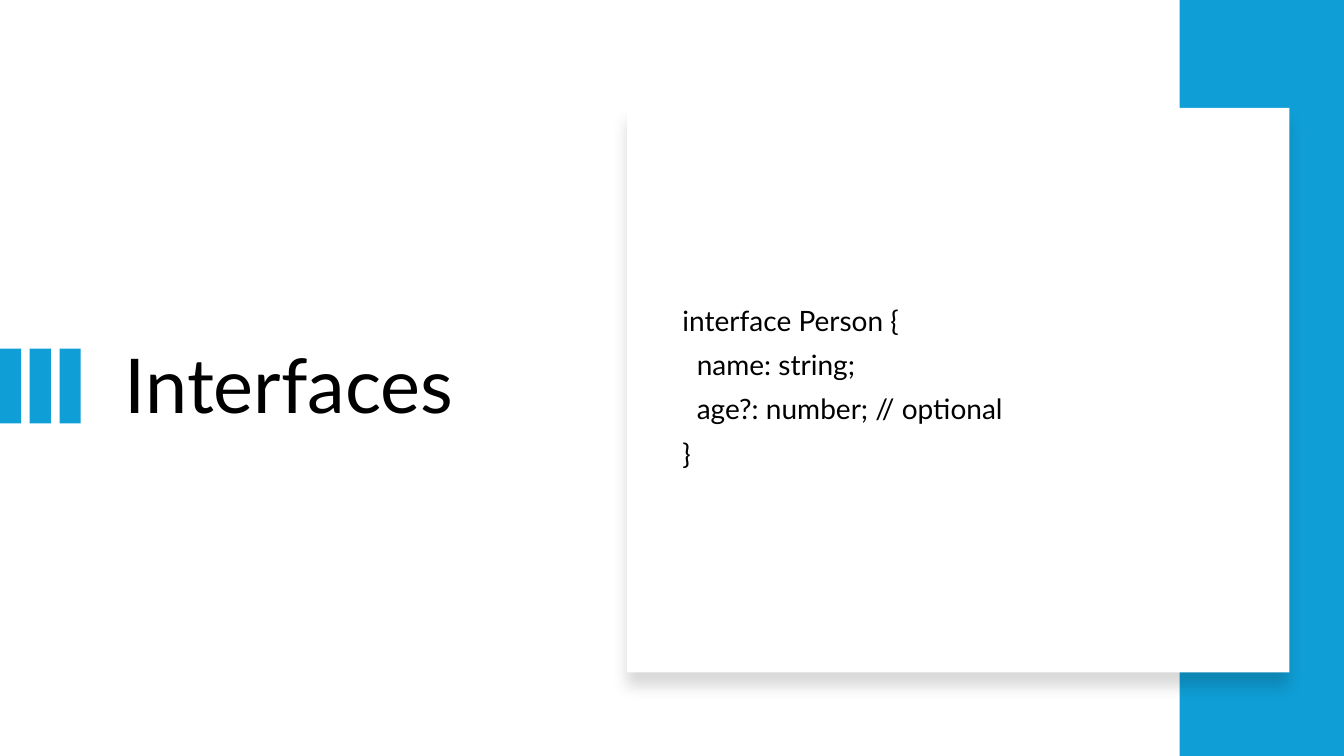
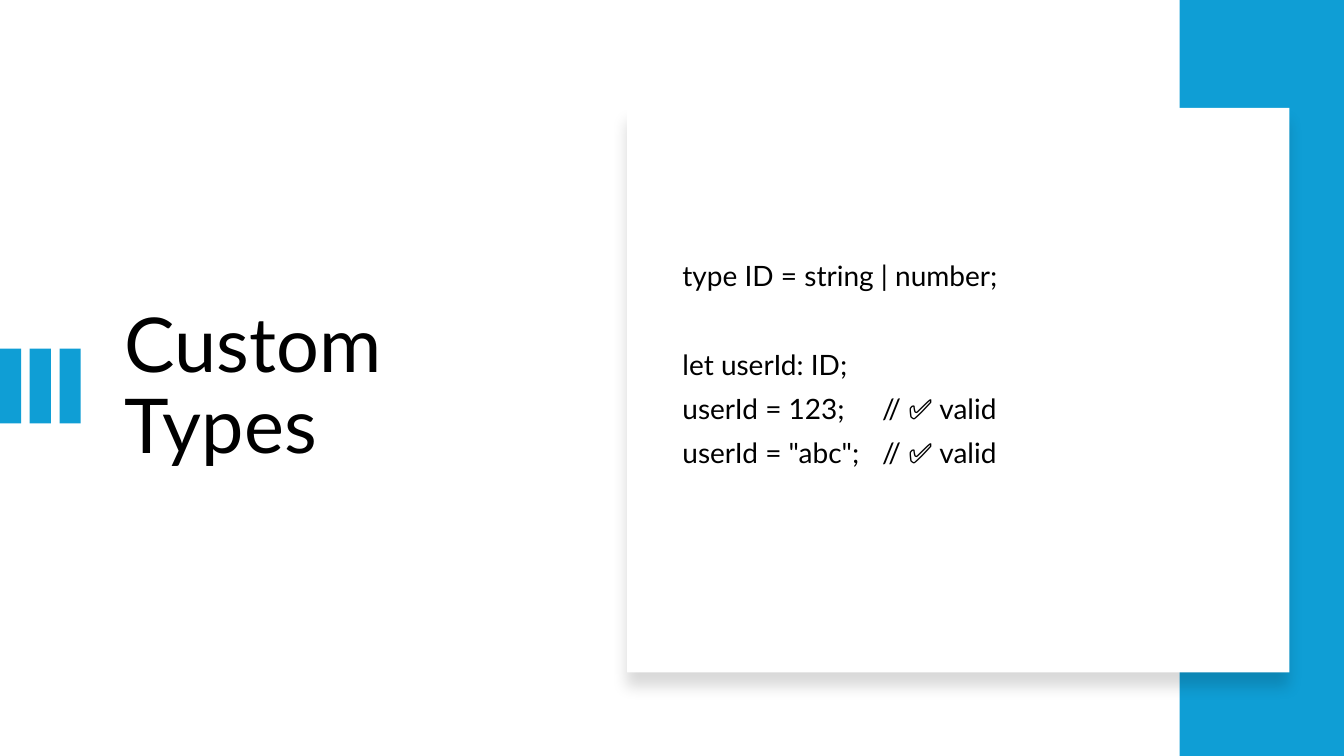
from dataclasses import dataclass

import pptx
import pptx.dml.color
import pptx.enum.shapes
import pptx.enum.text
import pptx.oxml.ns
import pptx.util
from lxml import etree

Inches = pptx.util.Inches
Pt = pptx.util.Pt
RGB = pptx.dml.color.RGBColor
qn = pptx.oxml.ns.qn


@dataclass(frozen=True)
class Theme:
    blue: RGB = RGB(0x0F, 0x9E, 0xD5)
    white: RGB = RGB(0xFF, 0xFF, 0xFF)
    ink: RGB = RGB(0, 0, 0)
    font: str = "Lato"
    title: int = 54
    code: int = 20
    lead: float = 0.9
    gap: int = 10
    blank: float = 31.7  # height of one empty code line, with its gap


THEME = Theme()
WIDTH, HEIGHT = 13.33, 7.5
TEXT_TOP, TEXT_HIGH = 1.46, 4.79
INSET = 0.05
NOTE_TAB = 1.98

# An empty line in the code stands for a gap.
SLIDES = [
    ("Interfaces", [
        "interface Person {",
        "  name: string;",
        "  age?: number; // optional",
        "}",
    ]),
    ("Custom Types", [
        "type ID = string | number;",
        "",
        "let userId: ID;",
        "userId = 123;\t// ✅ valid",
        "userId = \"abc\";\t// ✅ valid",
        "",
    ]),
]


def add_rect(shapes, left, top, width, height, color):
    rect = shapes.add_shape(
        pptx.enum.shapes.MSO_SHAPE.RECTANGLE,
        Inches(left), Inches(top), Inches(width), Inches(height))
    rect.fill.solid()
    rect.fill.fore_color.rgb = color
    rect.line.fill.background()
    rect.shadow.inherit = False
    return rect


def add_shadow(shape):
    """Give the shape a soft shadow that falls straight down."""
    effects = shape._element.spPr.find(qn("a:effectLst"))
    outer = etree.SubElement(
        effects, qn("a:outerShdw"), blurRad=str(Pt(11)), dist=str(Pt(10)),
        dir=str(90 * 60000), algn="t", rotWithShape="0")
    color = etree.SubElement(outer, qn("a:srgbClr"), val=str(THEME.ink))
    etree.SubElement(color, qn("a:alpha"), val="15000")


def add_box(slide, left, width):
    """Add an empty text box, centred in height, and return its frame."""
    box = slide.shapes.add_textbox(
        Inches(left), Inches(TEXT_TOP), Inches(width), Inches(TEXT_HIGH))
    frame = box.text_frame
    frame.word_wrap = True
    frame.vertical_anchor = pptx.enum.text.MSO_ANCHOR.MIDDLE
    return frame


def set_text(para, text, size):
    para.text = text
    para.line_spacing = THEME.lead
    for run in para.runs:
        run.font.name = THEME.font
        run.font.size = Pt(size)
        run.font.color.rgb = THEME.ink


def add_tab(para, place):
    tabs = etree.SubElement(para._p.get_or_add_pPr(), qn("a:tabLst"))
    etree.SubElement(tabs, qn("a:tab"), pos=str(Inches(place)), algn="l")


def add_code(slide, lines):
    """Write code lines; empty lines become space before or below."""
    frame = add_box(slide, 6.67, 5.75)
    para, space = None, 0
    for line in lines:
        if not line:
            space += THEME.blank
            continue
        if para is None:
            para = frame.paragraphs[0]
        else:
            para = frame.add_paragraph()
            para.space_before = Pt(THEME.gap + space)
        set_text(para, line, THEME.code)
        if "\t" in line:
            add_tab(para, NOTE_TAB)
        space = 0
    frame.margin_bottom = Inches(INSET) + Pt(space)


def add_bars(slide):
    count, wide, total = 3, 0.21, 0.8
    step = (total - wide) / (count - 1)
    group = slide.shapes.add_group_shape()
    for index in range(count):
        add_rect(group.shapes, index * step, 3.46, wide, 0.74, THEME.blue)


def add_slide(deck, title, lines):
    slide = deck.slides.add_slide(deck.slide_layouts[6])
    set_text(add_box(slide, 1.14, 4.26).paragraphs[0], title, THEME.title)
    add_bars(slide)
    add_rect(slide.shapes, 11.7, 0, WIDTH - 11.7, HEIGHT, THEME.blue)
    card = add_rect(slide.shapes, 6.22, 1.07, 6.57, 5.6, THEME.white)
    add_shadow(card)
    add_code(slide, lines)


def main():
    deck = pptx.Presentation()
    deck.slide_width = Inches(WIDTH)
    deck.slide_height = Inches(HEIGHT)
    for title, lines in SLIDES:
        add_slide(deck, title, lines)
    deck.save("out.pptx")


if __name__ == "__main__":
    main()
